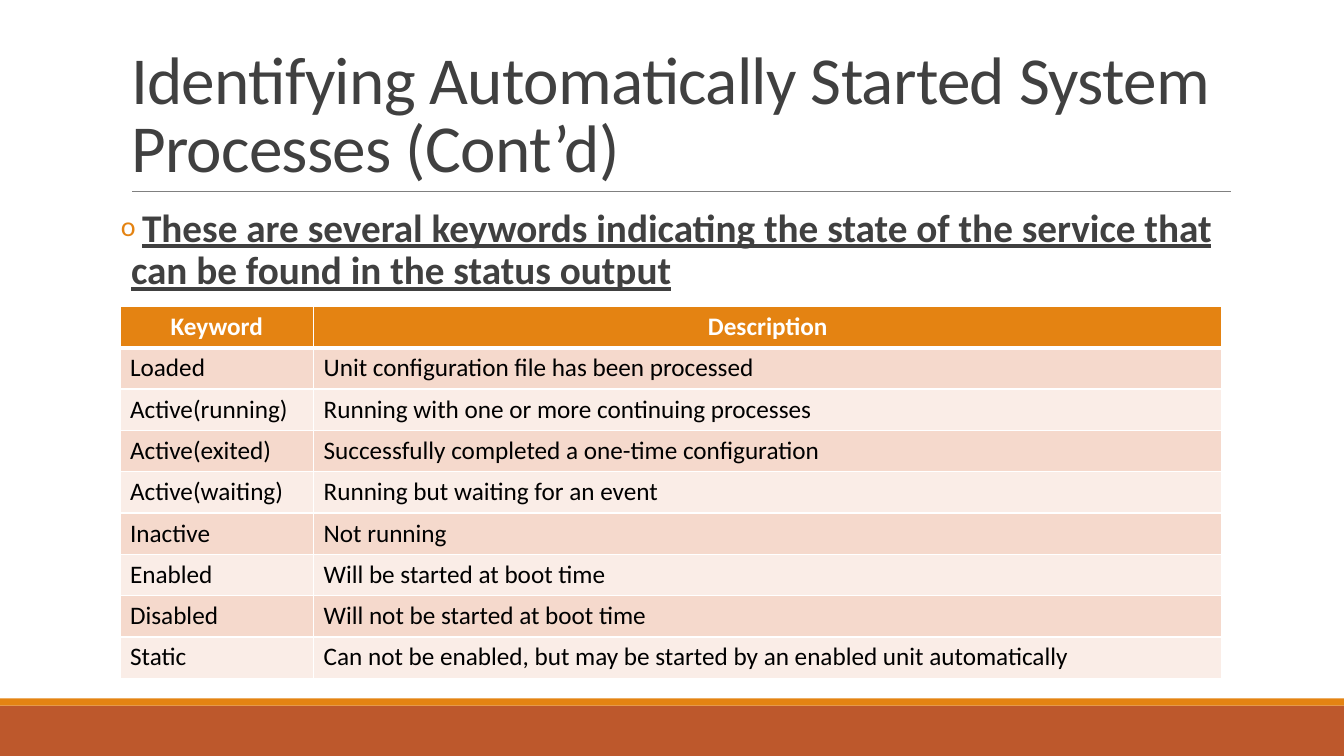
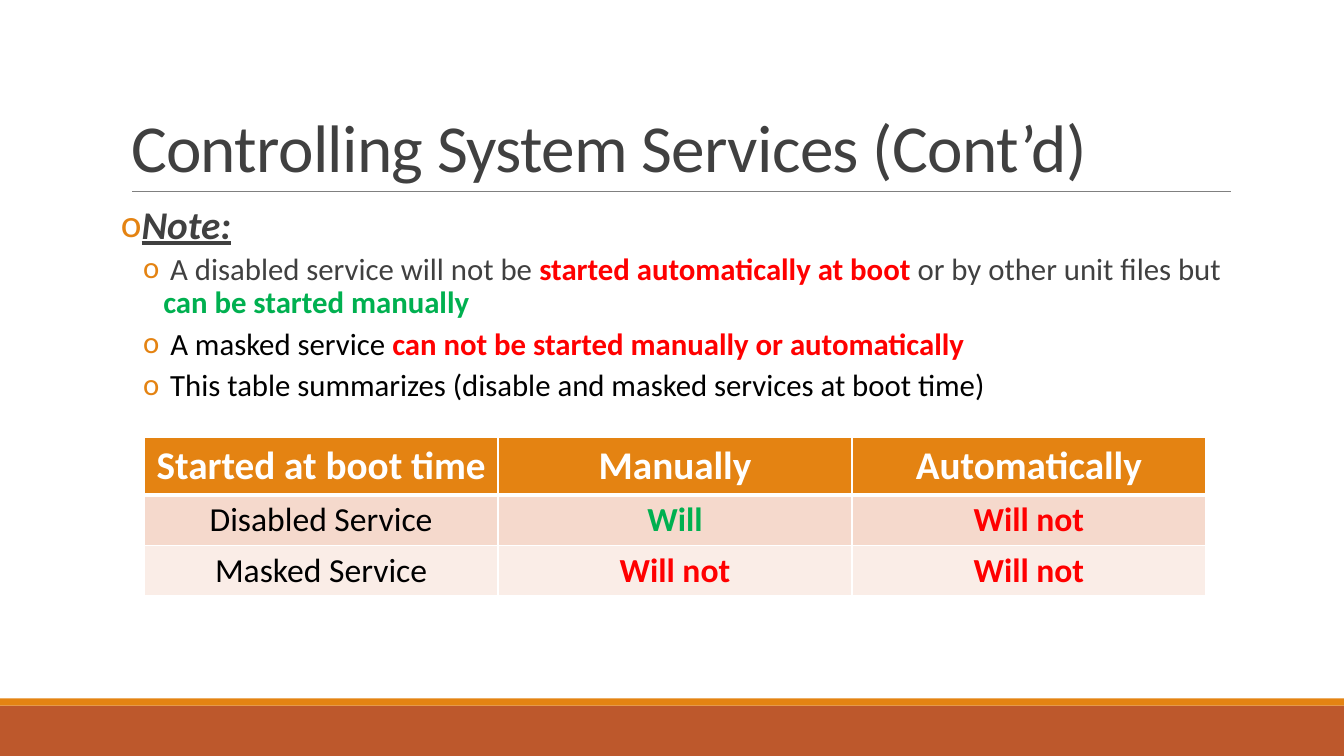
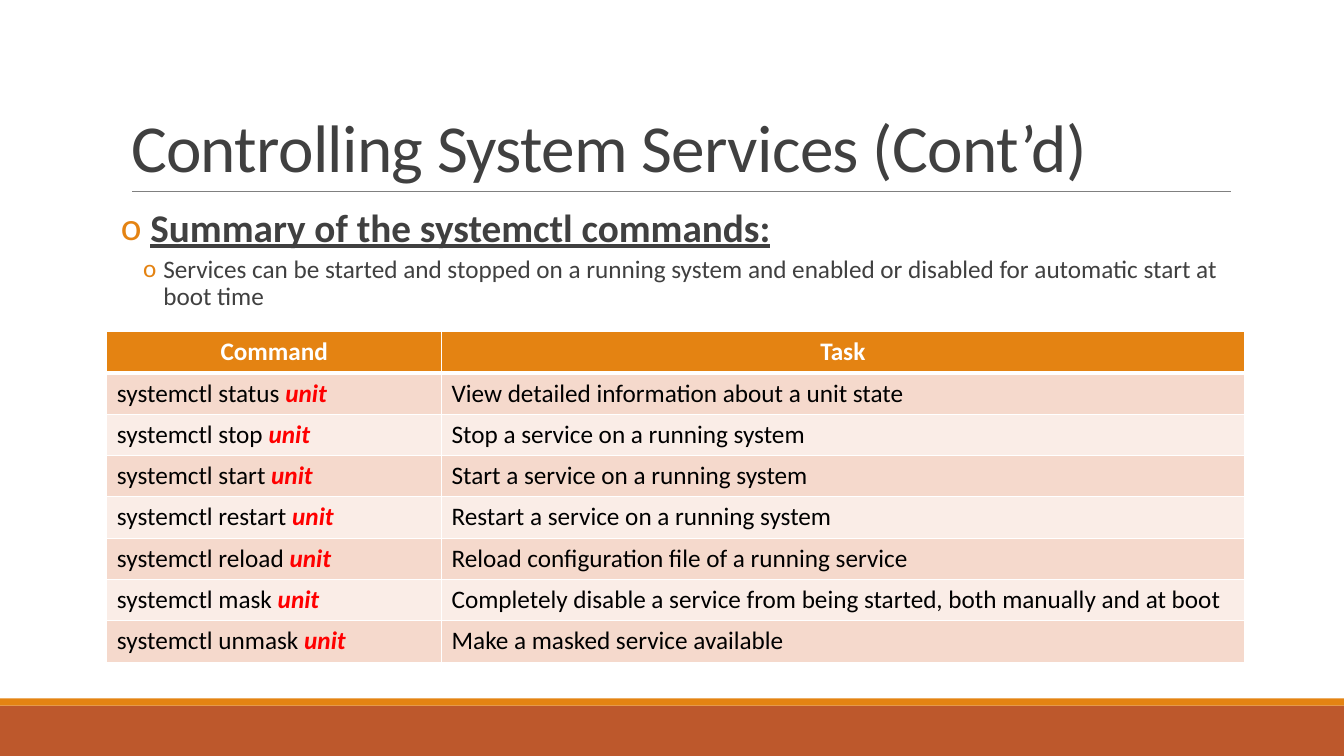
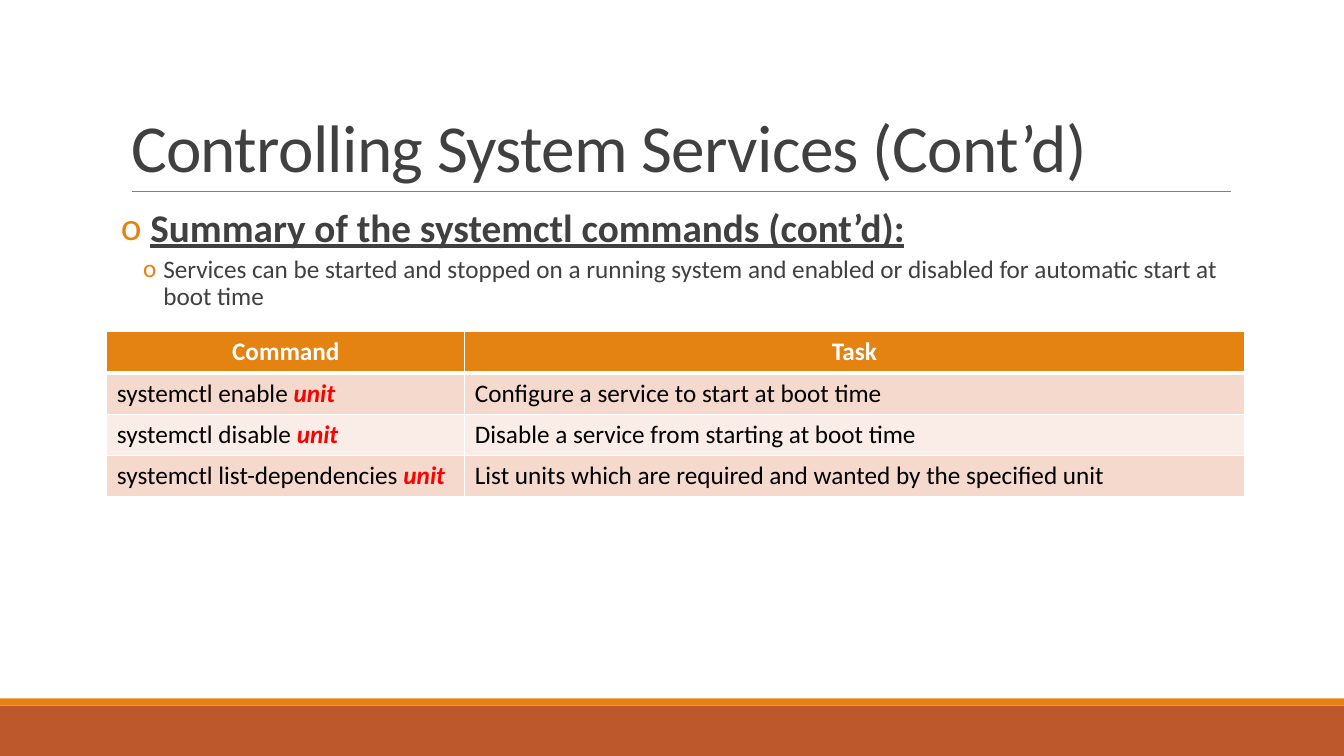
"""Build four slides on system services, each with bulleted text and a table."""
from lxml import etree
from pptx import Presentation
from pptx.dml.color import RGBColor
from pptx.enum.shapes import MSO_CONNECTOR, MSO_SHAPE
from pptx.enum.text import MSO_ANCHOR, MSO_AUTO_SIZE, PP_ALIGN
from pptx.oxml.ns import qn
from pptx.util import Inches, Pt

STRAIGHT, RECT = MSO_CONNECTOR.STRAIGHT, MSO_SHAPE.RECTANGLE
BOTTOM, NO_FIT = MSO_ANCHOR.BOTTOM, MSO_AUTO_SIZE.NONE
LEFT, CENTER = PP_ALIGN.LEFT, PP_ALIGN.CENTER

FONT = "Calibri"
WHITE = RGBColor(0xFF, 0xFF, 0xFF)
BLACK = RGBColor(0, 0, 0)
DARK = RGBColor(0x40, 0x40, 0x40)
GRAY = RGBColor(0x80, 0x80, 0x80)
ORANGE = RGBColor(0xE4, 0x83, 0x12)
RUST = RGBColor(0xBD, 0x58, 0x2C)
RED = RGBColor(0xFF, 0, 0)
GREEN = RGBColor(0, 0xB0, 0x50)
BANDS = [RGBColor(0xFA, 0xED, 0xE7), RGBColor(0xF5, 0xD9, 0xCC)]

STYLES = {
    "dark": (DARK, {}),
    "black": (BLACK, {}),
    "white": (WHITE, {"bold": True}),
    "red": (RED, {"bold": True}),
    "green": (GREEN, {"bold": True}),
    "unit": (RED, {"bold": True, "italic": True}),
    "lead": (DARK, {"bold": True}),
    "heading": (DARK, {"bold": True, "underline": True}),
    "note": (DARK, {"bold": True, "italic": True, "underline": True}),
}
LEVELS = [
    {"indent": 0.1, "hang": 0.1, "before": 12, "after": 2},
    {"indent": 0.42, "hang": 0.2, "before": 2, "after": 4},
]

CONTROL_TITLE = "Controlling System Services (Cont’d)"
SUMMARY_NOTE = ("Services can be started and stopped on a running system and "
                "enabled or disabled for automatic start at boot time")


def command_rows(rows):
    """Turn (command, task) pairs into table rows ending in a styled unit."""
    return [([(f"systemctl {command} ", "black"), ("unit", "unit")],
             [(task, "black")]) for command, task in rows]


def plain_rows(rows):
    """Turn rows of strings into rows of black table cells."""
    return [[[(text, "black")] for text in row] for row in rows]


def summary_body(heading):
    """Return the paragraphs that open a command summary."""
    return [(0, 28, [(" ", "lead"), (heading, "heading")]),
            (1, 18, [(SUMMARY_NOTE, "dark")])]


SUMMARY_TABLE = {"at": (1.06, 3.29), "heads": ["Command", "Task"],
                 "sizes": (18, 18), "heights": (0.41, 0.41), "align": LEFT}

SLIDES = [
    {
        "title": "Identifying Automatically Started System Processes (Cont’d)",
        "body_top": 2.02,
        "body": [(0, 28, [(" ", "lead", 20),
                          ("These are several keywords indicating the state of the "
                           "service that can be found in the status output", "heading")])],
        "table": {
            "at": (1.19, 3.04), "cols": (1.92, 9.01), "heads": ["Keyword", "Description"],
            "sizes": (18, 18), "heights": (0.41, 0.41), "align": LEFT,
            "rows": plain_rows([
                ("Loaded", "Unit configuration file has been processed"),
                ("Active(running)", "Running with one or more continuing processes"),
                ("Active(exited)", "Successfully completed a one-time configuration"),
                ("Active(waiting)", "Running but waiting for an event"),
                ("Inactive", "Not running"),
                ("Enabled", "Will be started at boot time"),
                ("Disabled", "Will not be started at boot time"),
                ("Static", "Can not be enabled, but may be started by an enabled "
                           "unit automatically"),
            ]),
        },
    },
    {
        "title": CONTROL_TITLE,
        "body_top": 1.99,
        "body": [
            (0, 28, [("Note:", "note")]),
            (1, 22, [(" A disabled service will not be ", "dark"),
                     ("started automatically at boot ", "red"),
                     ("or by other unit files but ", "dark"),
                     ("can be started manually", "green")]),
            (1, 22, [(" ", "red"), ("A masked service ", "black"),
                     ("can not be started manually or automatically", "red")]),
            (1, 22, [(" This table summarizes (disable and masked services at boot time)",
                      "black")]),
        ],
        "table": {
            "at": (1.43, 4.34), "cols": (3.51, 3.51, 3.51),
            "heads": ["Started at boot time", "Manually", "Automatically"],
            "sizes": (28, 24), "heights": (0.57, 0.5), "align": CENTER,
            "rows": [
                ([("Disabled Service", "black")], [("Will", "green")], [("Will not", "red")]),
                ([("Masked Service", "black")], [("Will not", "red")], [("Will not", "red")]),
            ],
        },
    },
    {
        "title": CONTROL_TITLE,
        "body_top": 2.02,
        "body": summary_body("Summary of the systemctl commands:"),
        "table": {
            **SUMMARY_TABLE, "cols": (3.32, 7.96),
            "rows": command_rows([
                ("status", "View detailed information about a unit state"),
                ("stop", "Stop a service on a running system"),
                ("start", "Start a service on a running system"),
                ("restart", "Restart a service on a running system"),
                ("reload", "Reload configuration file of a running service"),
                ("mask", "Completely disable a service from being started, both "
                         "manually and at boot"),
                ("unmask", "Make a masked service available"),
            ]),
        },
    },
    {
        "title": CONTROL_TITLE,
        "body_top": 2.02,
        "body": summary_body("Summary of the systemctl commands (cont’d):"),
        "table": {
            **SUMMARY_TABLE, "cols": (3.55, 7.73),
            "rows": command_rows([
                ("enable", "Configure a service to start at boot time"),
                ("disable", "Disable a service from starting at boot time"),
                ("list-dependencies", "List units which are required and wanted by "
                                      "the specified unit"),
            ]),
        },
    },
]


def add_runs(p, runs, size):
    """Add styled runs; a third item in a run overrides the size."""
    for text, style, *own_size in runs:
        color, formats = STYLES[style]
        r = p.add_run()
        r.text = text
        values = {"name": FONT, "size": Pt(own_size[0] if own_size else size),
                  "bold": False, **formats}
        for name, value in values.items():
            setattr(r.font, name, value)
        r.font.color.rgb = color


def add_bands(s):
    """Draw the two footer bands and the rule below the title."""
    for top, height, color in [(7, 0.5, RUST), (6.93, 0.07, ORANGE)]:
        band = s.shapes.add_shape(RECT, 0, Inches(top), Inches(13.33), Inches(height))
        band.shadow.inherit = False
        band.fill.solid()
        band.fill.fore_color.rgb = color
        band.line.fill.background()
    rule = s.shapes.add_connector(STRAIGHT, Inches(1.31), Inches(1.9),
                                  Inches(12.21), Inches(1.9))
    rule.line.color.rgb = GRAY
    rule.line.width = Pt(0.5)
    etree.SubElement(rule.element.spPr, qn("a:effectLst"))


def set_title(s, text):
    """Place and format the title placeholder."""
    title = s.shapes.title
    title.left, title.top = Inches(1.2), Inches(0.31)
    title.width, title.height = Inches(11), Inches(1.59)
    tf = title.text_frame
    tf.auto_size, tf.vertical_anchor = NO_FIT, BOTTOM
    p = tf.paragraphs[0]
    p.alignment, p.line_spacing = LEFT, 0.85
    add_runs(p, [(text, "dark")], 48)
    p.runs[0].font._element.set("spc", "-50")


def set_bullet(p, indent, hang):
    """Give a paragraph a hanging orange bullet."""
    pPr = p._p.get_or_add_pPr()
    pPr.set("marL", str(Inches(indent)))
    pPr.set("indent", str(-Inches(hang)))
    color = etree.SubElement(pPr, qn("a:buClr"))
    etree.SubElement(color, qn("a:srgbClr"), val=str(ORANGE))
    etree.SubElement(pPr, qn("a:buFont"), typeface=FONT)
    etree.SubElement(pPr, qn("a:buChar"), char="o")


def add_body(s, top, paragraphs):
    """Add the bulleted text."""
    tf = s.shapes.add_textbox(Inches(1.2), Inches(top), Inches(11), Inches(4.4)).text_frame
    tf.word_wrap = True
    tf.margin_left = tf.margin_right = 0
    for i, (level, size, runs) in enumerate(paragraphs):
        p = tf.add_paragraph() if i else tf.paragraphs[0]
        look = LEVELS[level]
        p.level, p.line_spacing = level, 0.9
        p.space_before, p.space_after = Pt(look["before"]), Pt(look["after"])
        set_bullet(p, look["indent"], look["hang"])
        add_runs(p, runs, size)


def set_borders(cell, top, bottom):
    """Draw white cell borders, with widths in points for top and bottom."""
    tcPr = cell._tc.get_or_add_tcPr()
    for side, width in [("L", 1), ("R", 1), ("T", top), ("B", bottom)]:
        ln = etree.SubElement(tcPr, qn(f"a:ln{side}"), w=str(Pt(width)))
        fill = etree.SubElement(ln, qn("a:solidFill"))
        etree.SubElement(fill, qn("a:srgbClr"), val=str(WHITE))


def add_table(s, at, cols, heads, sizes, heights, align, rows):
    """Add a table with an orange header and banded rows."""
    rows = [[[(head, "white")] for head in heads]] + rows
    row_heights = [heights[min(i, 1)] for i in range(len(rows))]
    table = s.shapes.add_table(len(rows), len(cols), Inches(at[0]), Inches(at[1]),
                               Inches(sum(cols)), Inches(sum(row_heights))).table
    for column, width in zip(table.columns, cols):
        column.width = Inches(width)
    for i, row in enumerate(rows):
        table.rows[i].height = Inches(row_heights[i])
        for j, runs in enumerate(row):
            cell = table.cell(i, j)
            set_borders(cell, 3 if i == 1 else 1, 3 if i == 0 else 1)
            cell.fill.solid()
            cell.fill.fore_color.rgb = BANDS[i % 2] if i else ORANGE
            p = cell.text_frame.paragraphs[0]
            p.alignment = align if i else CENTER
            add_runs(p, runs, sizes[min(i, 1)])


def main():
    """Build and save the presentation."""
    prs = Presentation()
    prs.slide_width, prs.slide_height = Inches(13.33), Inches(7.5)
    for content in SLIDES:
        s = prs.slides.add_slide(prs.slide_layouts[5])
        add_bands(s)
        set_title(s, content["title"])
        add_body(s, content["body_top"], content["body"])
        add_table(s, **content["table"])
    prs.save("out.pptx")


if __name__ == "__main__":
    main()
